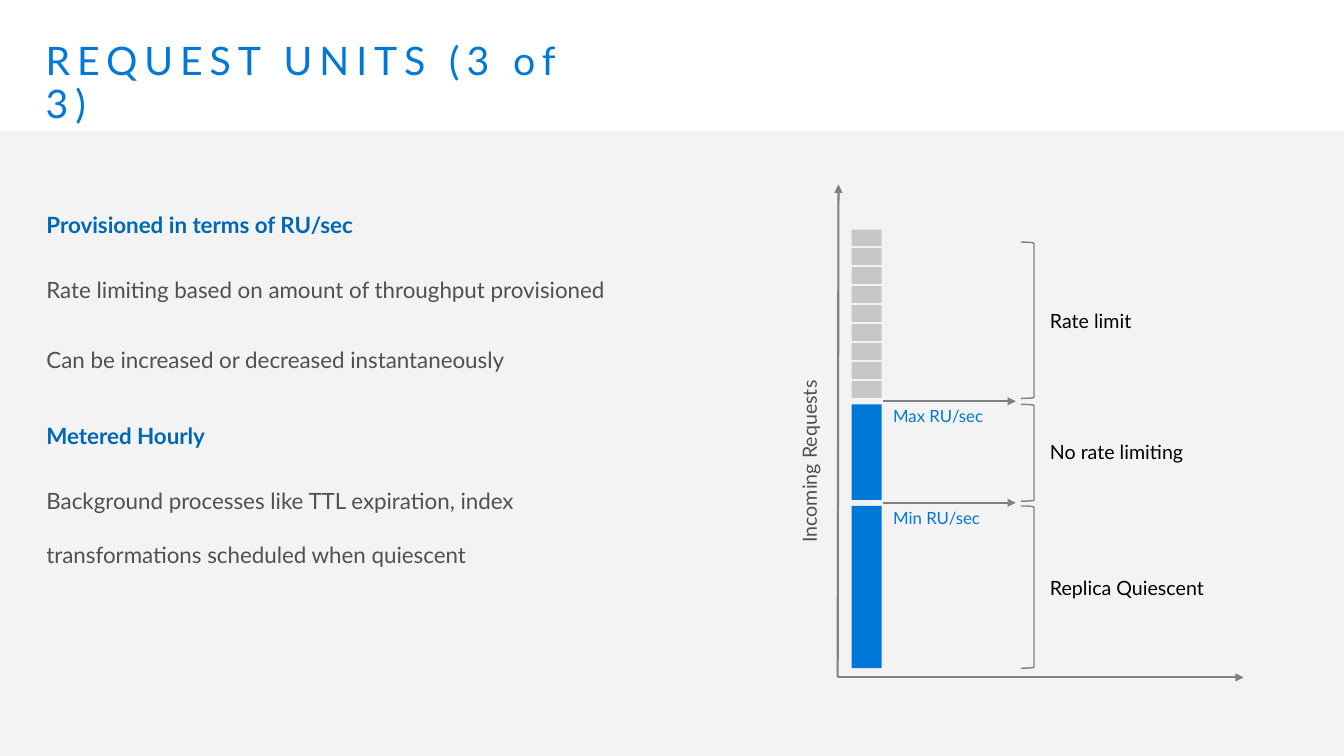
from lxml.etree import SubElement
from pptx import Presentation
from pptx.dml.color import RGBColor
from pptx.enum.shapes import MSO_CONNECTOR, MSO_SHAPE
from pptx.enum.text import MSO_ANCHOR, MSO_AUTO_SIZE, PP_ALIGN
from pptx.oxml.ns import qn
from pptx.util import Cm, Pt

COLORS = {
    "band": "F2F2F2",
    "blue": "0078D7",
    "heading": "0067B7",
    "text": "505050",
    "black": "000000",
    "axis": "808080",
    "limited": "C7C7C7",
}

HEADING = {"space_before": Pt(12), "line_spacing": 2.0}
DETAIL = {"level": 1, "space_before": Pt(8), "space_after": Pt(4), "line_spacing": 2.0}
FRAME = {
    "margin_left": Cm(0.41), "margin_right": Cm(0.41),
    "margin_top": Cm(0.25), "margin_bottom": Cm(0.25),
    "vertical_anchor": MSO_ANCHOR.TOP, "word_wrap": True,
}

# (is heading, wording)
POINTS = [
    (True, "Provisioned in terms of RU/sec"),
    (False, "Rate limiting based on amount of throughput provisioned"),
    (False, "Can be increased or decreased instantaneously"),
    (True, "Metered Hourly"),
    (False, "Background processes like TTL expiration, index transformations "
            "scheduled when quiescent"),
]

# (bar top, bar height, bracket top, bracket height, colour, label, label top)
ZONES = [
    (5.79, 4.24, 6.1, 3.94, "limited", "Rate limit", 7.65),
    (10.19, 2.41, 10.19, 2.44, "blue", "No rate limiting", 10.97),
    (12.75, 4.09, 12.75, 4.09, "blue", "Replica Quiescent", 14.38),
]
# (label, arrow y)
THRESHOLDS = [("Max RU/sec", 10.11), ("Min RU/sec", 12.67)]
DIVIDER_COUNT, FIRST_DIVIDER, DIVIDER_STEP = 8, 6.22, 0.48


def rgb(color):
    return RGBColor.from_string(COLORS[color])


def apply_format(target, values):
    for name, value in values.items():
        setattr(target, name, value)


def format_font(font, size, color, bold=False):
    apply_format(font, {"name": "Lato", "size": Pt(size), "bold": bold})
    font.color.rgb = rgb(color)


def place(shape, left, top, width, height):
    apply_format(shape, {"left": Cm(left), "top": Cm(top),
                         "width": Cm(width), "height": Cm(height)})


def add_block(slide, left, top, width, height, color):
    block = slide.shapes.add_shape(
        MSO_SHAPE.RECTANGLE, Cm(left), Cm(top), Cm(width), Cm(height))
    block.shadow.inherit = False
    block.fill.solid()
    block.fill.fore_color.rgb = rgb(color)
    block.line.fill.background()
    return block


def add_bracket(slide, top, height):
    bracket = slide.shapes.add_shape(
        MSO_SHAPE.RIGHT_BRACKET, Cm(25.73), Cm(top), Cm(0.33), Cm(height))
    bracket.shadow.inherit = False
    bracket.fill.background()
    bracket.line.color.rgb = rgb("axis")
    bracket.line.width = Pt(1)


def add_line(slide, start, end, color, arrow=False):
    line = slide.shapes.add_connector(
        MSO_CONNECTOR.STRAIGHT, *(Cm(value) for value in start + end))
    line.line.color.rgb = rgb(color)
    line.line.width = Pt(1.5)
    if arrow:
        SubElement(line.line._get_or_add_ln(), qn("a:tailEnd"), type="triangle")
    SubElement(line._element.spPr, qn("a:effectLst"))


def add_label(slide, text, left, top, width, height, size, color):
    label = slide.shapes.add_textbox(Cm(left), Cm(top), Cm(width), Cm(height))
    label.text_frame.word_wrap = True
    label.text_frame.auto_size = MSO_AUTO_SIZE.SHAPE_TO_FIT_TEXT
    paragraph = label.text_frame.paragraphs[0]
    run = paragraph.add_run()
    run.text = text
    format_font(run.font, size, color)
    return label


def add_band(slide):
    band = add_block(slide, 0, 3.3, 33.87, 15.75, "band")
    fill_color = band._element.spPr.find(qn("a:solidFill"))[0]
    SubElement(fill_color, qn("a:alpha"), val="89000")
    slide.shapes._spTree.insert(2, band._element)


def fill_title(slide):
    title = slide.shapes.title
    place(title, 0.74, 0.81, 15.04, 1.8)
    frame = title.text_frame
    apply_format(frame, {**FRAME, "auto_size": MSO_AUTO_SIZE.NONE})
    paragraph = frame.paragraphs[0]
    apply_format(paragraph, {"alignment": PP_ALIGN.LEFT, "line_spacing": 0.9})
    run = paragraph.add_run()
    run.text = "REQUEST UNITS (3 of 3)"
    format_font(run.font, 28, "blue")
    run._r.get_or_add_rPr().set("spc", "500")


def fill_body(slide):
    body = slide.placeholders[1]
    place(body, 0.76, 4.39, 15.8, 10.08)
    frame = body.text_frame
    apply_format(frame, {**FRAME, "auto_size": MSO_AUTO_SIZE.SHAPE_TO_FIT_TEXT})
    for index, (is_heading, text) in enumerate(POINTS):
        point = frame.add_paragraph() if index else frame.paragraphs[0]
        apply_format(point, HEADING if is_heading else DETAIL)
        if index == 0:
            point.space_before = Pt(0)
        properties = point._p.get_or_add_pPr()
        properties.set("marL", "0")
        properties.set("indent", "0")
        SubElement(properties, qn("a:buNone"))
        run = point.add_run()
        run.text = text
        format_font(run.font, 16, "heading" if is_heading else "text", is_heading)


def draw_diagram(slide):
    # Axes
    origin = (21.11, 17.07)
    for axis_end in ((21.13, 4.65), (31.34, 17.07)):
        add_line(slide, origin, axis_end, "axis", arrow=True)
    axis_label = add_label(slide, "Incoming Requests", 16.92, 11.2, 6.96, 0.86, 14, "text")
    axis_label.rotation = 270
    axis_label.text_frame.paragraphs[0].alignment = PP_ALIGN.CENTER

    # Bars with their brackets and labels
    for bar_top, bar_height, bracket_top, bracket_height, color, text, text_top in ZONES:
        add_block(slide, 21.46, bar_top, 0.76, bar_height, color)
        add_bracket(slide, bracket_top, bracket_height)
        add_label(slide, text, 26.21, text_top, 5.1, 0.86, 14, "black")

    # Gaps between the rate-limited requests
    for index in range(DIVIDER_COUNT):
        y = FIRST_DIVIDER + index * DIVIDER_STEP
        add_line(slide, (21.34, y), (22.35, y), "band")

    # Throughput thresholds
    for text, y in THRESHOLDS:
        add_line(slide, (22.25, y), (25.6, y), "axis", arrow=True)
        add_label(slide, text, 22.26, y, 3.12, 0.76, 12, "blue")


def main():
    deck = Presentation()
    deck.slide_width, deck.slide_height = Cm(33.87), Cm(19.05)
    slide = deck.slides.add_slide(deck.slide_layouts[1])
    add_band(slide)
    fill_title(slide)
    fill_body(slide)
    draw_diagram(slide)
    deck.save("out.pptx")


if __name__ == "__main__":
    main()
